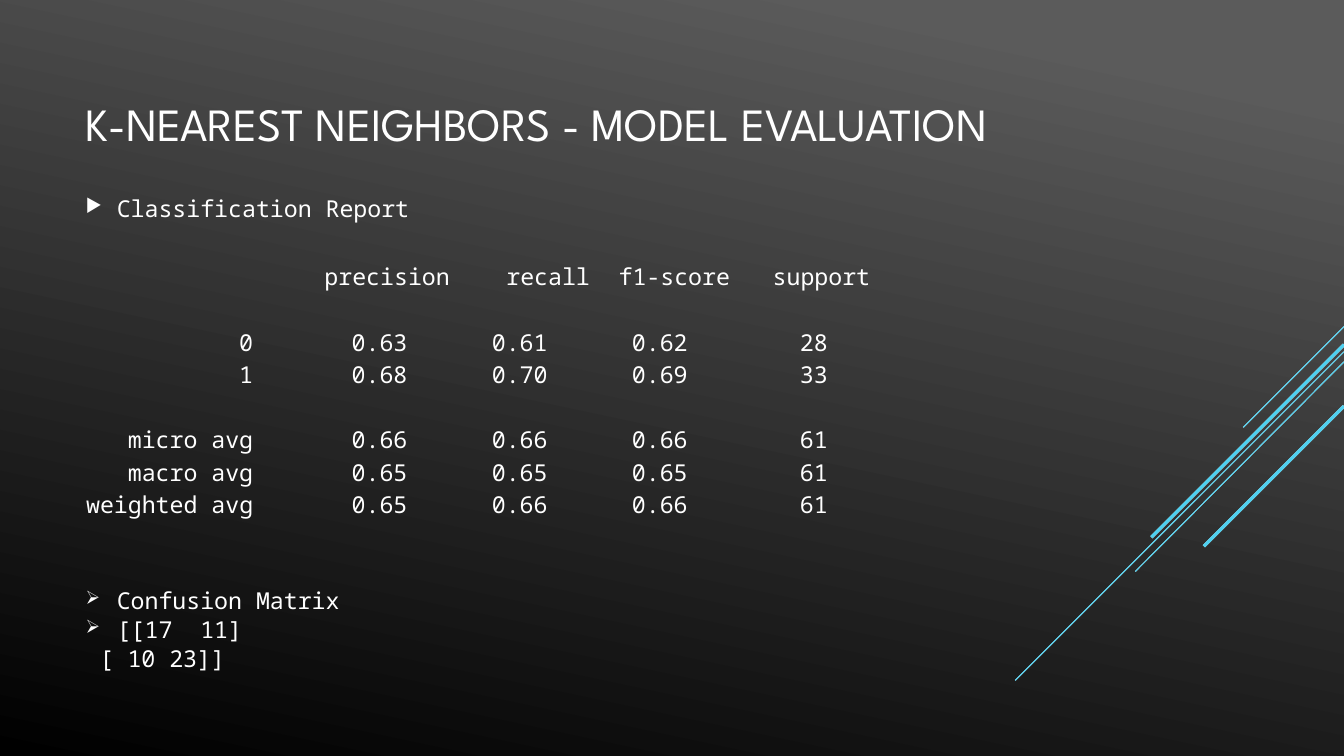
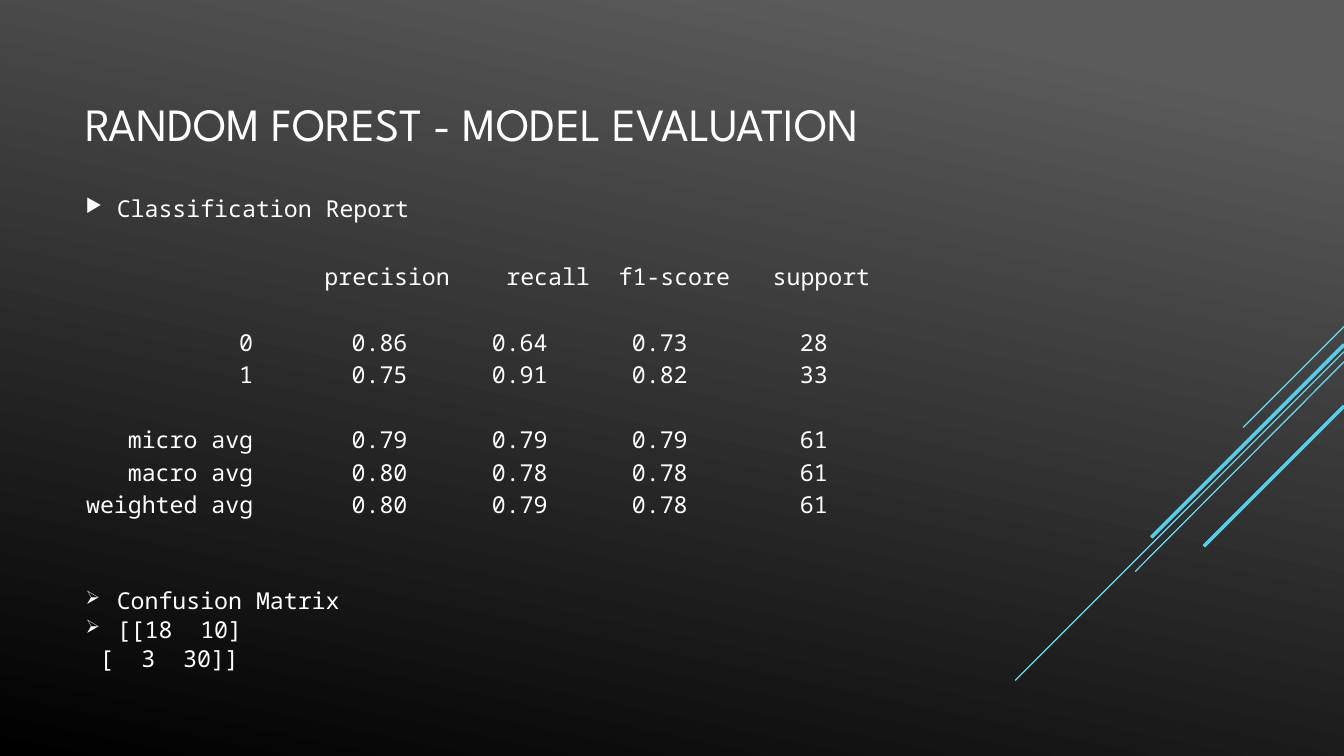
import pptx
import pptx.util
import pptx.dml.color
import pptx.enum.shapes
import pptx.enum.text
import pptx.oxml.ns
import lxml.etree
from dataclasses import dataclass

Inches = pptx.util.Inches
Pt = pptx.util.Pt
RGB = pptx.dml.color.RGBColor.from_string
qn = pptx.oxml.ns.qn
ALIGN = pptx.enum.text.PP_ALIGN
ANCHOR = pptx.enum.text.MSO_ANCHOR


@dataclass(frozen=True)
class Theme:
    text: str = "FFFFFF"
    accent: str = "22C5ED"
    accent_alpha: int = 80
    gradient: tuple = ((0.1, "5B5B5B"), (1.0, "000000"))
    gradient_angle: int = 258
    title_font: str = "League Spartan"
    title_size: float = 33
    body_font: str = "Noto Sans Mono"
    body_size: float = 16.6
    line_gap: float = 0.7
    no_grid: str = "{2D5ABB26-0587-4C30-8999-92F81FD0307C}"


theme = Theme()

# Content of the two evaluations
models = [
    {"name": "K-NEAREST NEIGHBORS",
     "scores": [("0.63", "0.61", "0.62"), ("0.68", "0.70", "0.69"),
                ("0.66", "0.66", "0.66"), ("0.65", "0.65", "0.65"),
                ("0.65", "0.66", "0.66")],
     "matrix": ("[[17\u00a0 11]", "[ 10 23]]")},
    {"name": "RANDOM FOREST",
     "scores": [("0.86", "0.64", "0.73"), ("0.75", "0.91", "0.82"),
                ("0.79", "0.79", "0.79"), ("0.80", "0.78", "0.78"),
                ("0.80", "0.79", "0.78")],
     "matrix": ("[[18\u00a0 10]", "[\u00a0 3\u00a0 30]]")},
]
metrics = ("", "precision", "recall", "f1-score", "support")
classes = ("0", "1", "micro avg", "macro avg", "weighted avg")
supports = ("28", "33", "61", "61", "61")

# Shared measures: column widths, row heights, diagonal rays (start y, end x, end y, width)
column_widths = (1.76, 1.95, 1.39, 1.39, 1.39)
row_heights = (0.32, 0.65, 0.32, 0.65, 0.32, 0.32)
value_inset = 0.42
bullet_indent = 0.31
slide_width = 13.33
rays = [(3.24, 12.33, 4.24, 0.75), (3.49, 10.07, 6.75, 0.75),
        (3.59, 11.26, 5.67, 0.75), (3.42, 11.42, 5.33, 2.25),
        (4.03, 11.94, 5.42, 2.25)]


def write(paragraph, text, font=theme.body_font, size=theme.body_size):
    run = paragraph.add_run()
    run.text = text
    run.font.name = font
    run.font.size = Pt(size)
    run.font.color.rgb = RGB(theme.text)


def add_lines(slide, box, lines, top_inset=0):
    """Each line is (text, bullet, left indent) plus optional font and size."""
    frame = slide.shapes.add_textbox(*map(Inches, box)).text_frame
    frame.word_wrap = True
    frame.margin_top, frame.margin_bottom = Inches(top_inset), 0
    for index, (text, bullet, indent, *style) in enumerate(lines):
        paragraph = frame.add_paragraph() if index else frame.paragraphs[0]
        paragraph.space_after = Pt(theme.line_gap)
        properties = paragraph._p.get_or_add_pPr()
        properties.set("marL", str(Inches(indent)))
        if bullet:
            properties.set("indent", str(-Inches(indent)))
            colour = lxml.etree.SubElement(properties, qn("a:buClr"))
            lxml.etree.SubElement(colour, qn("a:srgbClr"), val=theme.text)
            lxml.etree.SubElement(properties, qn("a:buSzPct"), val="80000")
            lxml.etree.SubElement(properties, qn("a:buChar"), char=bullet)
        write(paragraph, text, *style)


deck = pptx.Presentation()
deck.slide_width, deck.slide_height = Inches(slide_width), Inches(7.5)

for model in models:
    slide = deck.slides.add_slide(deck.slide_layouts[6])

    # Background gradient
    backdrop = slide.background.fill
    backdrop.gradient()
    backdrop.gradient_angle = theme.gradient_angle
    for stop, (position, colour) in zip(backdrop.gradient_stops, theme.gradient):
        stop.position = position
        stop.color.rgb = RGB(colour)

    # Diagonal rays: white below, translucent accent above
    for colour, alpha in ((theme.text, 100), (theme.accent, theme.accent_alpha)):
        for start_y, end_x, end_y, width in rays:
            ray = slide.shapes.add_connector(
                pptx.enum.shapes.MSO_CONNECTOR.STRAIGHT, Inches(slide_width),
                Inches(start_y), Inches(end_x), Inches(end_y))
            ray.line.color.rgb = RGB(colour)
            ray.line.width = Pt(width)
            tint = ray._element.spPr.find(".//" + qn("a:srgbClr"))
            lxml.etree.SubElement(tint, qn("a:alpha"), val=str(alpha * 1000))
            lxml.etree.SubElement(ray._element.spPr, qn("a:effectLst"))

    # Title and report heading
    add_lines(slide, (0.75, 0.53, 9.33, 1.2),
              [(model["name"] + " - MODEL EVALUATION", None, 0,
                theme.title_font, theme.title_size)], top_inset=0.42)
    add_lines(slide, (0.75, 1.93, 9.32, 0.32),
              [("Classification Report", "\u25b6", bullet_indent)])

    # Classification report
    rows = [metrics] + [(label, *scores, support) for label, scores, support
                        in zip(classes, model["scores"], supports)]
    report = slide.shapes.add_table(
        len(rows), len(metrics), Inches(0.75), Inches(2.58),
        Inches(sum(column_widths)), Inches(sum(row_heights))).table
    report.first_row = report.horz_banding = False
    report._tbl.tblPr.find(qn("a:tableStyleId")).text = theme.no_grid
    for column, width in zip(report.columns, column_widths):
        column.width = Inches(width)
    for r, (row, height) in enumerate(zip(rows, row_heights)):
        report.rows[r].height = Inches(height)
        for c, text in enumerate(row):
            cell = report.cell(r, c)
            cell.fill.background()
            cell.vertical_anchor = ANCHOR.BOTTOM
            cell.margin_left = cell.margin_top = cell.margin_bottom = 0
            cell.margin_right = Inches(value_inset if r and c else 0)
            paragraph = cell.text_frame.paragraphs[0]
            paragraph.alignment = ALIGN.RIGHT
            if text:
                write(paragraph, text)

    # Confusion matrix
    first, second = model["matrix"]
    add_lines(slide, (0.75, 5.82, 9.32, 1.0),
              [("Confusion Matrix", "\u27a2", bullet_indent),
               (first, "\u27a2", bullet_indent),
               (second, None, 0.14)])

deck.save("out.pptx")
